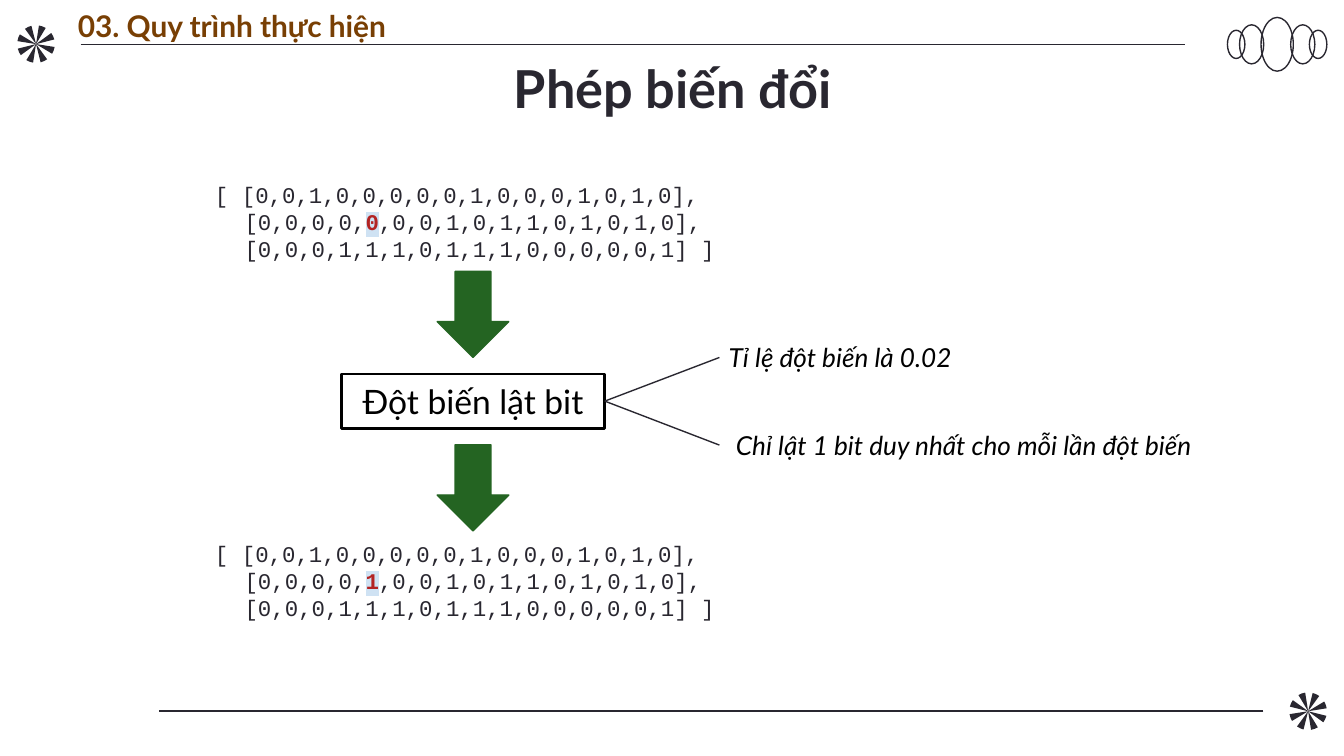
from dataclasses import dataclass
from math import cos, radians, sin

from pptx import Presentation
from pptx import util as u
from pptx.dml.color import RGBColor
from pptx.enum import shapes, text
from pptx.oxml.ns import qn


@dataclass(frozen=True)
class Theme:
    ink: str = "292730"
    black: str = "000000"
    brown: str = "783F04"
    green: str = "246422"
    red: str = "B32323"
    pale: str = "CFE2F3"
    sans: str = "Lato"
    mono: str = "Courier New"
    title: int = 28
    step: int = 18
    head: int = 16
    note: int = 14
    code: int = 12
    thin: float = 0.75
    thick: float = 1.5


T = Theme()
MID, LEFT = text.PP_ALIGN.CENTER, text.PP_ALIGN.LEFT
FIT, FIXED = text.MSO_AUTO_SIZE.SHAPE_TO_FIT_TEXT, text.MSO_AUTO_SIZE.NONE
SHAPE = shapes.MSO_SHAPE


def grid(*cells):
    """Lengths from columns and rows of a grid with ten cells to the inch."""
    return [u.Inches(n / 10) for n in cells]


def rgb(code):
    return RGBColor.from_string(code)


def put(item, values):
    for name, value in values.items():
        setattr(item, name, value)


def font(size, color, name=T.sans, **more):
    return dict(size=size, color=color, name=name, **more)


def write(para, words, look, mark=None):
    """Add a run; mark is the colour behind its letters."""
    run = para.add_run()
    run.text = words
    values = dict(look, size=u.Pt(look["size"]))
    run.font.color.rgb = rgb(values.pop("color"))
    put(run.font, values)
    if mark:
        props = run._r.get_or_add_rPr()
        back = props.makeelement(qn("a:highlight"), {})
        back.append(back.makeelement(qn("a:srgbClr"), {"val": mark}))
        props.find(qn("a:solidFill")).addnext(back)


def frame(shape, pad, size=FIT, anchor=text.MSO_ANCHOR.TOP):
    """Set up the text frame; pad is left, top, right and bottom."""
    sides = ("margin_left", "margin_top", "margin_right", "margin_bottom")
    put(shape.text_frame, dict(zip(sides, grid(*pad)), word_wrap=True,
                               auto_size=size, vertical_anchor=anchor))
    return shape.text_frame


def label(slide, area, words, look, align=MID, pad=(0, 0, 0, 0), **more):
    para = frame(slide.shapes.add_textbox(*grid(*area)), pad, **more).paragraphs[0]
    para.alignment = align
    write(para, words, look)


def code(slide, top, bit):
    """Three rows of bits, with one bit of the second row marked."""
    plain = font(T.code, T.ink, T.mono)
    bold = font(T.code, T.red, T.mono, bold=True)
    rows = [
        [("[ [0,0,1,0,0,0,0,0,1,0,0,0,1,0,1,0],", plain)],
        [("[0,0,0,0,", plain), (bit, bold, T.pale),
         (",0,0,1,0,1,1,0,1,0,1,0],", plain)],
        [(" [0,0,0,1,1,1,0,1,1,1,0,0,0,0,0,1] ]", plain)],
    ]
    body = frame(slide.shapes.add_textbox(*grid(16, top, 38.4, 6.1)), (0, 0, 0, 0))
    for i, row in enumerate(rows):
        para = body.add_paragraph() if i else body.paragraphs[0]
        para.alignment = MID if i else LEFT
        for part in row:
            write(para, *part)


def paint(shape, fill=None, line=None, width=T.thin):
    shape.shadow.inherit = False
    if fill:
        shape.fill.solid()
        shape.fill.fore_color.rgb = rgb(fill)
    else:
        shape.fill.background()
    if line:
        shape.line.color.rgb = rgb(line)
        shape.line.width = u.Pt(width)
    else:
        shape.line.fill.background()
    return shape


def preset(slide, kind, area, **look):
    return paint(slide.shapes.add_shape(kind, *grid(*area)), **look)


def rule(slide, start, end, box=None):
    """A thin line, joined to the right side of box if one is given."""
    line = slide.shapes.add_connector(
        shapes.MSO_CONNECTOR.STRAIGHT, *grid(*start, *end))
    line.line.color.rgb = rgb(T.ink)
    line.line.width = u.Pt(T.thin)
    props = line._element.spPr
    props.append(props.makeelement(qn("a:effectLst"), {}))
    if box is not None:
        line.begin_connect(box, 3)


def burst(slide, x, y, turn):
    """Eight petals around a point, the first one turned by some degrees."""
    for petal in range(8):
        mid = turn + 45 * petal
        rim = [(x + 1.4 * cos(radians(mid + a)), y + 1.4 * sin(radians(mid + a)))
               for a in (-11, 0, 11)]
        pen = slide.shapes.build_freeform(*grid(x, y))
        pen.add_line_segments([grid(*spot) for spot in rim], close=True)
        paint(pen.convert_to_shape(), fill=T.ink)


def rings(slide, x, y):
    """Five ellipses, placed evenly on both sides of the largest."""
    for shift, wide, high in ((3.05, 1.3, 2.1), (1.9, 1.8, 2.9), (0, 2.4, 4),
                              (-1.9, 1.8, 2.9), (-3.05, 1.3, 2.1)):
        area = (x + shift - wide / 2, y - high / 2, wide, high)
        preset(slide, SHAPE.OVAL, area, line=T.ink)


def heading(slide, words):
    title = slide.shapes.title
    put(title, dict(zip(("left", "top", "width", "height"),
                        grid(7.8, 4.45, 84.5, 4.2))))
    para = frame(title, (1, 1, 1, 1), FIXED, text.MSO_ANCHOR.MIDDLE).paragraphs[0]
    para.alignment = MID
    write(para, words, font(T.title, T.ink, bold=True))


def step(slide, area, words):
    box = preset(slide, SHAPE.RECTANGLE, area, line=T.black, width=T.thick)
    para = frame(box, (1, 0.5, 1, 0.5)).paragraphs[0]
    para.alignment = MID
    write(para, words, font(T.step, T.black))
    return box


def main():
    deck = Presentation()
    deck.slide_width, deck.slide_height = grid(100, 56.25)
    slide = deck.slides.add_slide(deck.slide_layouts[5])

    rule(slide, (6, 3.3), (88.2, 3.3))
    burst(slide, 2.68, 3.28, 20)
    rings(slide, 95.03, 3.3)
    rule(slide, (94, 52.92), (11.8, 52.92))
    burst(slide, 97.33, 52.92, 25)

    label(slide, (5.8, 0.55, 77.6, 2.7), "03. Quy trình thực hiện",
          font(T.head, T.brown, bold=True), LEFT, (0, 1, 1, 1),
          size=FIXED, anchor=text.MSO_ANCHOR.MIDDLE)
    heading(slide, "Phép biến đổi")

    code(slide, 13.47, "0")
    code(slide, 40.2, "1")
    box = step(slide, (25.4, 27.83, 19.6, 4.04), "Đột biến lật bit")
    for top in (20.2, 33.1):
        preset(slide, SHAPE.DOWN_ARROW, (32.53, top, 5.33, 6.4),
               fill=T.green, line=T.green)

    notes = (("Tỉ lệ đột biến là 0.02", 26.6, 18),
             ("Chỉ lật 1 bit duy nhất cho mỗi lần đột biến", 33.12, 36.4))
    for words, y, wide in notes:
        label(slide, (53.53, y - 1.2, wide, 2.4), words,
              font(T.note, T.black, italic=True))
        rule(slide, (45, 29.85), (53.53, y), box)

    deck.save("out.pptx")


if __name__ == "__main__":
    main()
